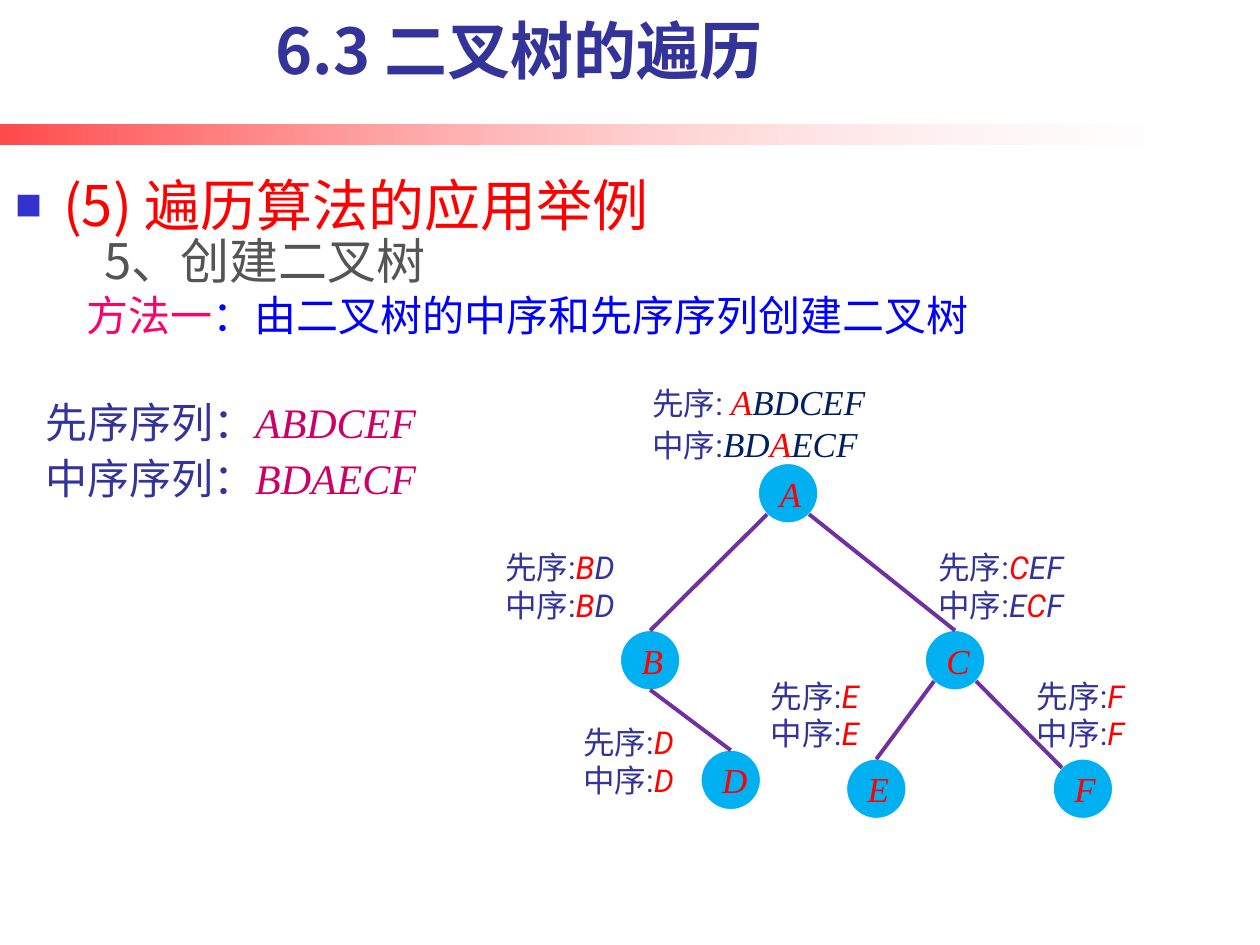
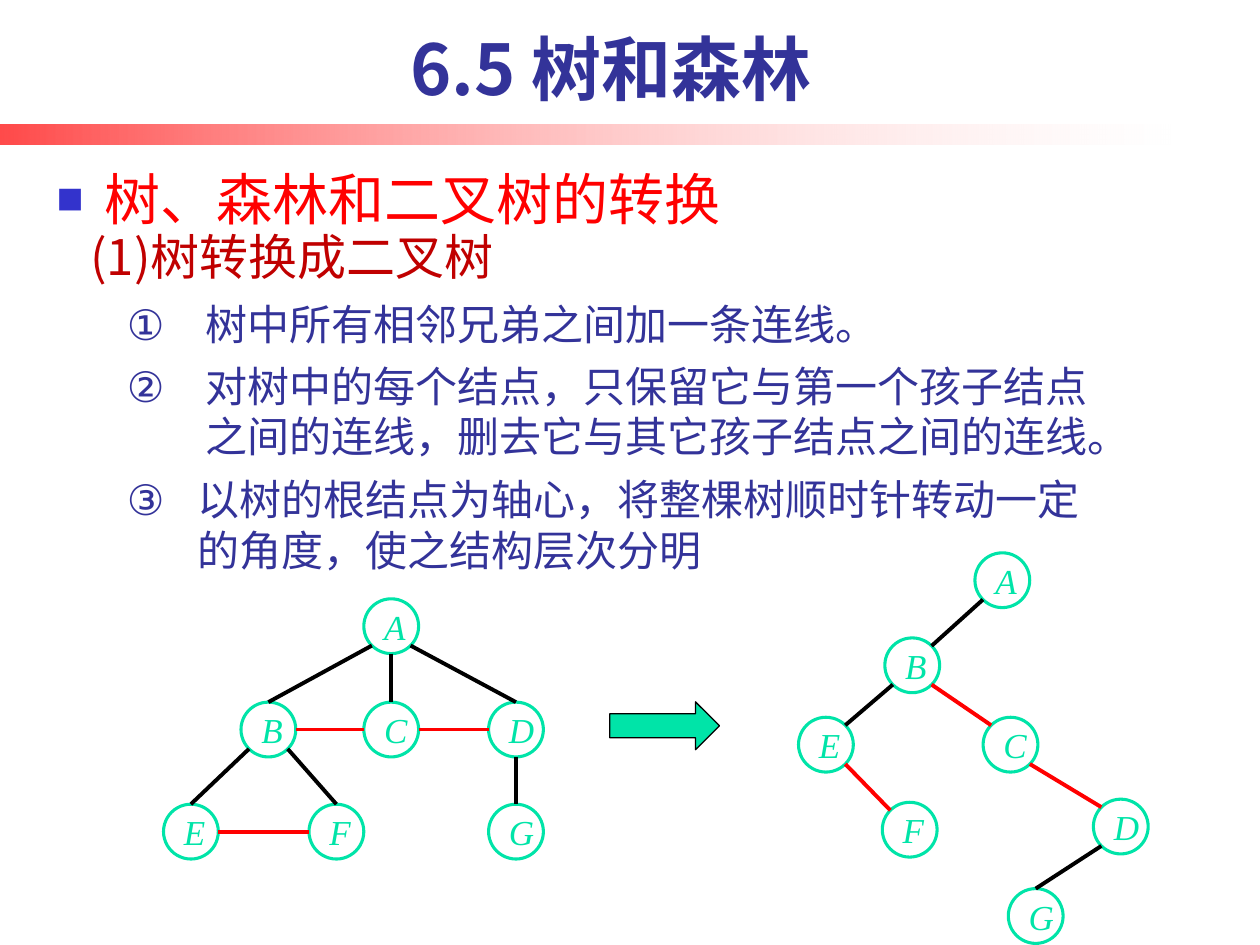
from math import hypot

from lxml.etree import SubElement
from pptx import Presentation
from pptx.dml.color import RGBColor
from pptx.enum.shapes import MSO_CONNECTOR, MSO_SHAPE
from pptx.enum.text import MSO_ANCHOR, MSO_AUTO_SIZE, PP_ALIGN
from pptx.oxml.ns import qn
from pptx.util import Inches, Pt

NOTO, ROBOTO, TIMES = "Noto Sans CJK SC", "Roboto", "Times New Roman"
WHITE = RGBColor(0xFF, 0xFF, 0xFF)
BLACK = RGBColor(0x00, 0x00, 0x00)
RED = RGBColor(0xFF, 0x00, 0x00)
DARK_RED = RGBColor(0xC0, 0x00, 0x00)
PINK = RGBColor(0xFF, 0x00, 0x66)
MAGENTA = RGBColor(0xCC, 0x00, 0x66)
BLUE = RGBColor(0x00, 0x00, 0xFF)
INDIGO = RGBColor(0x33, 0x33, 0x99)
NAVY = RGBColor(0x00, 0x20, 0x60)
BULLET_BLUE = RGBColor(0x33, 0x33, 0xCC)
SKY = RGBColor(0x00, 0xB0, 0xF0)
PURPLE = RGBColor(0x70, 0x30, 0xA0)
GREEN = RGBColor(0x00, 0xE4, 0xA8)
GRAY = RGBColor(0x55, 0x55, 0x55)

presentation = Presentation()
presentation.slide_width = Inches(10)
presentation.slide_height = Inches(7.5)
COLUMN = presentation.slide_width / 100
ROW = presentation.slide_height / 75


def area(left, top, width, height):
    """Turn grid columns and rows into a position and size."""
    return [round(left * COLUMN), round(top * ROW),
            round(width * COLUMN), round(height * ROW)]


def write_text(shape, lines, size=24, font=NOTO, color=INDIGO, bold=False,
               italic=False, align=PP_ALIGN.LEFT, anchor=MSO_ANCHOR.TOP,
               wrap=True, spacing=1.0, hanging=0, bullet=()):
    """Fill a shape; each line is a list of (text, overrides) runs.

    bullet holds (tag, attributes) pairs, hanging is the indent in columns.
    """
    frame = shape.text_frame
    frame.auto_size = MSO_AUTO_SIZE.NONE
    frame.word_wrap = wrap
    frame.vertical_anchor = anchor
    for index, runs in enumerate(lines):
        paragraph = frame.add_paragraph() if index else frame.paragraphs[0]
        paragraph.alignment = align
        paragraph.line_spacing = spacing
        paragraph.space_before = Pt(0)
        properties = paragraph._p.get_or_add_pPr()
        properties.set("marL", str(round(hanging * COLUMN)))
        properties.set("indent", str(round(-hanging * COLUMN)))
        for tag, attributes in bullet:
            element = SubElement(properties, qn(tag), attributes)
            if tag == "a:buClr":
                SubElement(element, qn("a:srgbClr"), val=str(BULLET_BLUE))
        for text, changes in runs:
            style = {"size": size, "font": font, "color": color,
                     "italic": italic, **changes}
            run = paragraph.add_run()
            run.text = text
            run.font.size = Pt(style["size"])
            run.font.bold = bold
            run.font.italic = style["italic"]
            run.font.color.rgb = style["color"]
            run.font.name = style["font"]
            SubElement(run._r.get_or_add_rPr(), qn("a:ea"), typeface=ROBOTO)


# Slides with their headings and topics
layout = presentation.slide_layouts[1]
SQUARE_BULLET = [("a:buClr", {}), ("a:buSzPct", {"val": "80000"}),
                 ("a:buFont", {"typeface": "Arial"}), ("a:buChar", {"char": "■"})]
headings = [
    ("6.3 二叉树的遍历", 36, (9.8, 0.3, 62.8, 7.1),
     "(5) 遍历算法的应用举例", (0.2, 12.3, 60.6, 7.1)),
    ("6.5 树和森林", 40, (5.9, 2.1, 85.2, 7.1),
     "树、森林和二叉树的转换", (3.5, 11.8, 85.2, 7.1)),
]
slides = []
for heading, size, heading_area, topic, topic_area in headings:
    slide = presentation.slides.add_slide(layout)
    slides.append(slide)
    title, body = slide.placeholders
    title.left, title.top, title.width, title.height = area(*heading_area)
    body.left, body.top, body.width, body.height = area(*topic_area)
    write_text(title, [[(heading, {})]], size=size, bold=True,
               align=PP_ALIGN.CENTER, anchor=MSO_ANCHOR.BOTTOM)
    write_text(body, [[(topic, {})]], size=32, color=RED, spacing=1.15,
               anchor=MSO_ANCHOR.BOTTOM, hanging=3.8, bullet=SQUARE_BULLET)
traversal, forest = slides

# Fading band, shared through the layout
band = traversal.shapes.add_shape(MSO_SHAPE.RECTANGLE, *area(0, 9.9, 92.9, 1.6))
band.shadow.inherit = False
band.line.fill.background()
band.fill.gradient()
band.fill.gradient_angle = 0
for stop, color in zip(band.fill.gradient_stops, (RED, WHITE)):
    stop.color.rgb = color
for color_element, alpha in zip(band.element.iter(qn("a:srgbClr")), (71, 18)):
    SubElement(color_element, qn("a:alpha"), val=str(alpha * 1000))
layout.shapes.element.append(band.element)

# Text boxes: slide, area, runs, format
sequence = {"color": MAGENTA, "italic": True}
text_boxes = [
    (traversal, (7.3, 16.6, 54.3, 5.5), [("5、创建二叉树", {})],
     dict(size=28, color=GRAY, spacing=1.25, hanging=3.8)),
    (traversal, (5.9, 22.5, 84.2, 5),
     [("方法一", {"color": PINK}), ("：由二叉树的中序和先序序列创建二叉树", {})],
     dict(font=ROBOTO, color=BLUE)),
    (traversal, (2.6, 30.6, 31.8, 9.9),
     [("先序序列：", {}), ("ABDCEF", sequence),
      ("中序序列：", {}), ("BDAECF", sequence)],
     dict(font=TIMES, spacing=1.1)),
    (forest, (6.2, 17.5, 35.4, 5.7), [("(1)树转换成二叉树", {})],
     dict(size=28, color=DARK_RED, wrap=False)),
]
steps = [
    ((9.1, 23.2, 76.7, 5), 6.2, "树中所有相邻兄弟之间加一条连线。"),
    ((9.1, 28.1, 78.6, 9.1), 6.2,
     "对树中的每个结点，只保留它与第一个孩子结点之间的连线，删去它与其它孩子结点之间的连线。"),
    ((9.1, 37.1, 78.6, 9.1), 5.6,
     "以树的根结点为轴心，将整棵树顺时针转动一定的角度，使之结构层次分明"),
]
for number, (step_area, hanging, text) in enumerate(steps, 1):
    numbering = [("a:buFont", {"typeface": "+mj-lt"}),
                 ("a:buAutoNum", {"type": "circleNumDbPlain", "startAt": str(number)})]
    text_boxes.append((forest, step_area, [(text, {})],
                       dict(hanging=hanging, bullet=numbering)))
for slide, box_area, runs, text_format in text_boxes:
    write_text(slide.shapes.add_textbox(*area(*box_area)), [runs], **text_format)

# Preorder and inorder of each subtree, its root in red
small = {"font": ROBOTO, "size": 18, "color": INDIGO}
large = {"font": TIMES, "size": 20, "color": NAVY}
subtrees = [
    ("A", "ABDCEF", "BDAECF", (50.8, 29.7, 21.9, 7.7), large),
    ("B", "BD", "BD", (39.1, 43, 14.8, 7.1), small),
    ("C", "CEF", "ECF", (73.5, 43, 15.6, 7.1), small),
    ("D", "D", "D", (45.3, 56.9, 10.2, 7.1), small),
    ("E", "E", "E", (60.2, 53.2, 10.9, 7.1), small),
    ("F", "F", "F", (81.3, 53.2, 10.9, 7.1), small),
]
for root, preorder, inorder, label_area, style in subtrees:
    lines = []
    preorder_label = "先序: " if style is large else "先序:"
    for label, order in ((preorder_label, preorder), ("中序:", inorder)):
        before, _, after = order.partition(root)
        letters = [(before, style), (root, {**style, "color": RED}), (after, style)]
        lines.append([(label, small)] + [(text, {**changes, "italic": True})
                                         for text, changes in letters if text])
    write_text(traversal.shapes.add_textbox(*area(*label_area)), lines)

# Trees: node centres on the grid, and edges from one rim point to another
UP, DOWN, LEFT, RIGHT = (0, -1), (0, 1), (-1, 0), (1, 0)
UP_LEFT, UP_RIGHT, DOWN_LEFT, DOWN_RIGHT = (-1, -1), (1, -1), (-1, 1), (1, 1)
blue_nodes = dict(diameter=4.7, fill=SKY, line=WHITE, line_width=0.5, text=RED,
                  align=PP_ALIGN.CENTER, wrap=True)
green_nodes = dict(diameter=4.35, fill=WHITE, line=GREEN, line_width=1.75,
                   text=GREEN, align=PP_ALIGN.LEFT, wrap=False)
trees = [
    (traversal, blue_nodes,
     {"A": (62.55, 39.15), "B": (51.6, 52.4), "C": (75.8, 52.4),
      "D": (58, 61.9), "E": (69.55, 62.6), "F": (85.95, 62.6)},
     [("A", DOWN_LEFT, "B", UP, PURPLE), ("A", DOWN_RIGHT, "C", UP, PURPLE),
      ("B", DOWN, "D", UP, PURPLE), ("C", DOWN_LEFT, "E", UP, PURPLE),
      ("C", DOWN_RIGHT, "F", UP_LEFT, PURPLE)]),
    (forest, green_nodes,
     {"A": (31.05, 49.7), "B": (21.3, 57.9), "C": (31.05, 57.9), "D": (40.95, 57.9),
      "E": (15.15, 66), "F": (26.7, 66), "G": (40.95, 66)},
     [("A", DOWN_LEFT, "B", UP, BLACK), ("A", DOWN, "C", UP, BLACK),
      ("A", DOWN_RIGHT, "D", UP, BLACK), ("B", DOWN_LEFT, "E", UP, BLACK),
      ("B", DOWN_RIGHT, "F", UP, BLACK), ("D", DOWN, "G", UP, BLACK),
      ("B", RIGHT, "C", LEFT, RED), ("C", RIGHT, "D", LEFT, RED),
      ("E", RIGHT, "F", LEFT, RED)]),
    (forest, green_nodes,
     {"A": (79.55, 46.05), "B": (72.4, 52.8), "C": (80.2, 59.1), "D": (88.95, 65.6),
      "E": (65.55, 59.1), "F": (72.2, 65.85), "G": (82.2, 72.7)},
     [("A", DOWN_LEFT, "B", UP_RIGHT, BLACK), ("B", DOWN_LEFT, "E", UP_RIGHT, BLACK),
      ("D", DOWN_LEFT, "G", UP, BLACK), ("B", DOWN_RIGHT, "C", UP_LEFT, RED),
      ("C", DOWN_RIGHT, "D", UP_LEFT, RED), ("E", DOWN_RIGHT, "F", UP_LEFT, RED)]),
]
for slide, style, nodes, edges in trees:
    diameter = style["diameter"]
    radius = diameter / 2
    for letter, (x, y) in nodes.items():
        node = slide.shapes.add_shape(
            MSO_SHAPE.OVAL, *area(x - radius, y - radius, diameter, diameter))
        node.shadow.inherit = False
        node.fill.solid()
        node.fill.fore_color.rgb = style["fill"]
        node.line.color.rgb = style["line"]
        node.line.width = Pt(style["line_width"])
        write_text(node, [[(letter, {})]], size=20, font=TIMES, italic=True,
                   color=style["text"], align=style["align"],
                   anchor=MSO_ANCHOR.MIDDLE, wrap=style["wrap"])
    for parent, parent_side, child, child_side, color in edges:
        ends = []
        for letter, (dx, dy) in ((parent, parent_side), (child, child_side)):
            x, y = nodes[letter]
            reach = radius / hypot(dx, dy)
            ends += [round((x + dx * reach) * COLUMN), round((y + dy * reach) * ROW)]
        edge = slide.shapes.add_connector(MSO_CONNECTOR.STRAIGHT, *ends)
        edge.line.color.rgb = color
        edge.line.width = Pt(2.25)
        SubElement(edge.element.spPr, qn("a:effectLst"))

arrow = forest.shapes.add_shape(MSO_SHAPE.RIGHT_ARROW, *area(48.4, 55.7, 8.7, 3.8))
arrow.shadow.inherit = False
arrow.fill.solid()
arrow.fill.fore_color.rgb = GREEN
arrow.line.color.rgb = BLACK
arrow.line.width = Pt(0.75)

presentation.save("out.pptx")
